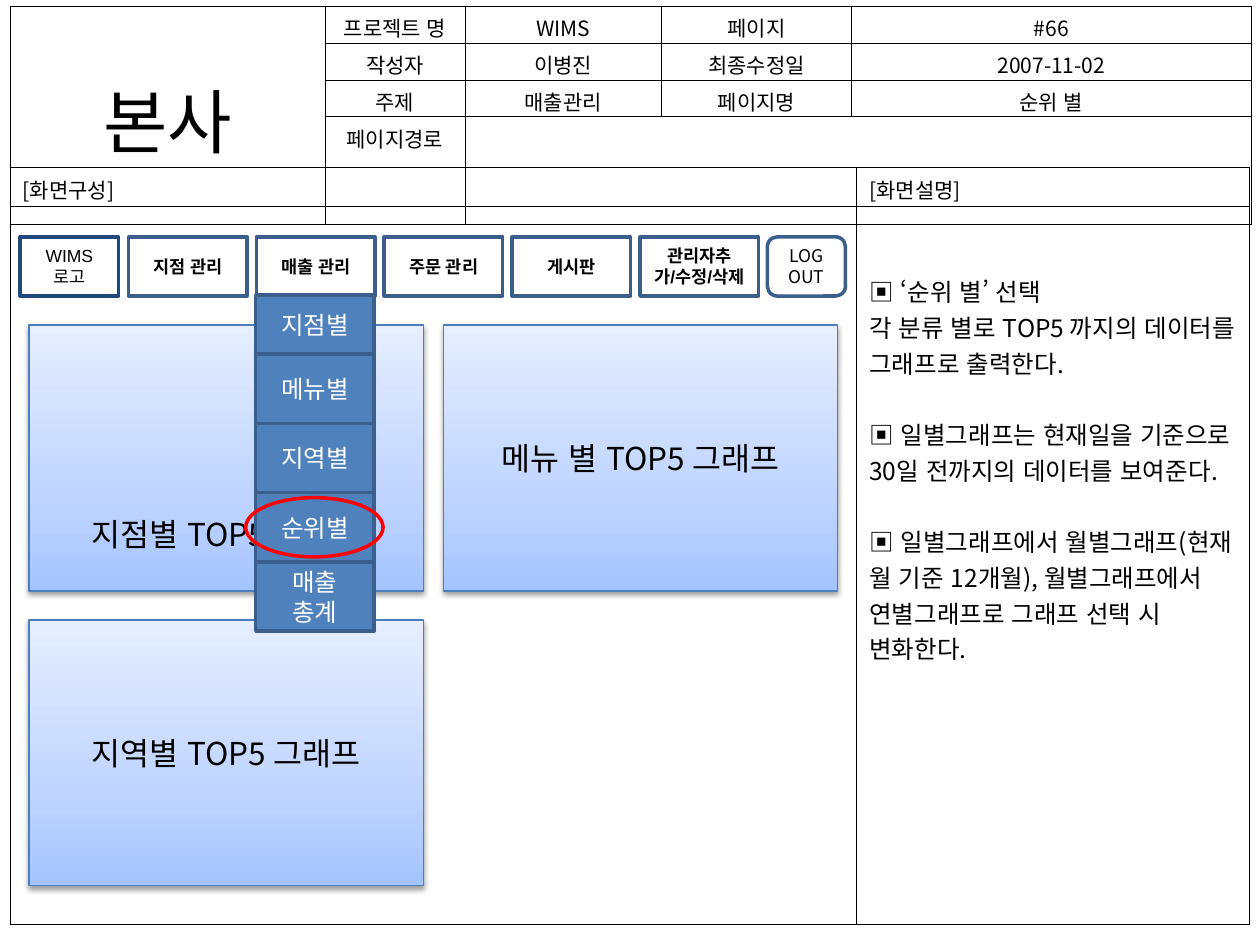
from copy import deepcopy

from lxml import etree
from pptx import Presentation
from pptx.dml.color import RGBColor
from pptx.enum.lang import MSO_LANGUAGE_ID
from pptx.enum.shapes import MSO_SHAPE
from pptx.enum.text import MSO_ANCHOR, PP_ALIGN
from pptx.oxml.ns import qn
from pptx.util import Inches, Pt

RECTANGLE, ROUNDED, OVAL = MSO_SHAPE.RECTANGLE, MSO_SHAPE.ROUNDED_RECTANGLE, MSO_SHAPE.OVAL
LEFT, CENTER = PP_ALIGN.LEFT, PP_ALIGN.CENTER
TOP, MIDDLE = MSO_ANCHOR.TOP, MSO_ANCHOR.MIDDLE
KOREAN = MSO_LANGUAGE_ID.KOREAN

BLACK = RGBColor(0x00, 0x00, 0x00)
WHITE = RGBColor(0xFF, 0xFF, 0xFF)
RED = RGBColor(0xFF, 0x00, 0x00)
NAVY = RGBColor(0x1F, 0x49, 0x7D)
BLUE = RGBColor(0x4F, 0x81, 0xBD)
BLUE_EDGE = RGBColor(0x3A, 0x5F, 0x8C)
CARD_EDGE = RGBColor(0x4B, 0x7E, 0xBC)
CARD_STOPS = [
    (0, RGBColor(0xA4, 0xC4, 0xFF)),
    (0.35, RGBColor(0xBF, 0xD4, 0xFF)),
    (1, RGBColor(0xE6, 0xEE, 0xFF)),
]
KOREAN_FONT = "Noto Sans CJK KR"


def write(frame, text, size=12, color=BLACK, font=KOREAN_FONT, bold=False, align=CENTER, gaps=()):
    """Fill a text frame, one paragraph per line; gaps maps line numbers to space before."""
    frame.word_wrap = True
    gaps = dict(gaps)
    for number, line in enumerate(text.split("\n")):
        paragraph = frame.paragraphs[0] if number == 0 else frame.add_paragraph()
        paragraph.alignment = align
        if number in gaps:
            paragraph.space_before = Pt(gaps[number])
        run = paragraph.add_run()
        run.text = line
        run.font.size = Pt(size)
        run.font.bold = bold
        run.font.color.rgb = color
        run.font.name = font
        run.font.language_id = KOREAN
        etree.SubElement(run.font._element, qn("a:ea"), typeface=KOREAN_FONT)


class Wireframe:
    """Holds the current slide and draws each kind of element on it."""

    def __init__(self, slide):
        self.slide = slide

    def box(self, place, text="", kind=RECTANGLE, fill=WHITE, edge=BLUE_EDGE, weight=2, **style):
        """Draw a bordered shape with centred text."""
        shape = self.slide.shapes.add_shape(kind, *map(Inches, place))
        shape.shadow.inherit = False
        if fill is None:
            shape.fill.background()
        else:
            shape.fill.solid()
            shape.fill.fore_color.rgb = fill
        shape.line.color.rgb = edge
        shape.line.width = Pt(weight)
        shape.text_frame.vertical_anchor = MIDDLE
        if text:
            write(shape.text_frame, text, **style)
        return shape

    def card(self, left, top, text, text_top=0.05):
        """Draw a shaded graph area with a soft shadow."""
        shape = self.box((left, top, 3.13, 2.11), text, edge=CARD_EDGE, weight=0.75, size=18)
        shape.text_frame.margin_top = Inches(text_top)
        shape.fill.gradient()
        shape.fill.gradient_angle = 90
        properties = shape._element.spPr
        stops = properties.find(".//" + qn("a:gsLst"))
        stops.append(deepcopy(stops[0]))
        for stop, (position, color) in zip(shape.fill.gradient_stops, CARD_STOPS):
            stop.position = position
            stop.color.rgb = color
        shadow = etree.SubElement(
            properties.find(qn("a:effectLst")), qn("a:outerShdw"),
            blurRad=str(Pt(3.1)), dist=str(Pt(1.6)), dir="5400000", rotWithShape="0")
        shade = etree.SubElement(shadow, qn("a:srgbClr"), val=str(BLACK))
        etree.SubElement(shade, qn("a:alpha"), val="38000")

    def table(self, left, top, widths, heights):
        """Add an unfilled grid with thin black borders."""
        size = left, top, sum(widths), sum(heights)
        grid = self.slide.shapes.add_table(len(heights), len(widths), *map(Inches, size)).table
        grid.first_row = grid.horz_banding = False
        for column, width in zip(grid.columns, widths):
            column.width = Inches(width)
        for row, height in zip(grid.rows, heights):
            row.height = Inches(height)
        for cell in grid.iter_cells():
            cell.margin_top, cell.margin_bottom = Inches(0.05), 0
            for side in ("a:lnL", "a:lnR", "a:lnT", "a:lnB"):
                border = etree.SubElement(cell._tc.tcPr, qn(side), w=str(Pt(0.5)))
                paint = etree.SubElement(border, qn("a:solidFill"))
                etree.SubElement(paint, qn("a:srgbClr"), val=str(BLACK))
            cell.fill.background()
        return grid

    def cell(self, grid, row, column, text, anchor=TOP, **style):
        """Write one table cell."""
        target = grid.cell(row, column)
        target.vertical_anchor = anchor
        write(target.text_frame, text, **style)


def main():
    """Build the ranking page of the sales screen design."""
    deck = Presentation()
    deck.slide_width, deck.slide_height = Inches(10), Inches(7.5)
    page = Wireframe(deck.slides.add_slide(deck.slide_layouts[6]))

    header = page.table(0.08, 0.05, [2.5, 1.11, 1.56, 1.51, 3.17], [0.29, 0.29, 0.29, 0.26])
    header.cell(0, 0).merge(header.cell(3, 0))
    header.cell(3, 2).merge(header.cell(3, 4))
    header.cell(3, 2).margin_top = Inches(0.46)
    page.cell(header, 0, 0, "본사", anchor=MIDDLE, size=40)
    details = [
        ("프로젝트 명", "WIMS", "페이지", "#66"),
        ("작성자", "이병진", "최종수정일", "2007-11-02"),
        ("주제", "매출관리", "페이지명", "순위 별"),
        ("페이지경로",),
    ]
    for row, values in enumerate(details):
        for column, value in enumerate(values, 1):
            page.cell(header, row, column, value)

    body = page.table(0.08, 1.33, [6.72, 3.12], [0.31, 5.7])
    page.cell(body, 0, 0, "[화면구성]", align=LEFT)
    page.cell(body, 0, 1, "[화면설명]", align=LEFT)
    description = "\n".join([
        "▣ ‘순위 별’ 선택",
        "각 분류 별로 TOP5 까지의 데이터를 그래프로 출력한다.",
        "▣ 일별그래프는 현재일을 기준으로 30일 전까지의 데이터를 보여준다.",
        "▣ 일별그래프에서 월별그래프(현재 월 기준 12개월), "
        "월별그래프에서 연별그래프로 그래프 선택 시 변화한다.",
    ])
    body.cell(1, 1).margin_top = Inches(0.53)
    page.cell(body, 1, 1, description, size=14, align=LEFT, gaps={2: 20.3, 3: 20.3})

    page.card(3.52, 2.58, "메뉴 별 TOP5 그래프")
    page.card(0.23, 4.92, "지역별 TOP5 그래프")
    page.card(0.23, 2.58, "지점별 TOP5 그래프", text_top=1.25)

    submenu = {"fill": BLUE, "color": WHITE, "size": 14}
    for index, entry in enumerate(["메뉴별", "지역별", "순위별", "매출\n총계"]):
        page.box((2.03, 2.81 + 0.55 * index, 0.94, 0.55), entry, **submenu)

    menus = ["지점 관리", "매출 관리", "주문 관리", "게시판", "관리자추가/수정/삭제"]
    for index, menu in enumerate(menus):
        font = "Arial" if "/" in menu else KOREAN_FONT
        page.box((1.02 + 1.015 * index, 1.88, 0.94, 0.47), menu, size=10, bold=True, font=font)
    page.box((6.09, 1.88, 0.62, 0.47), "LOG OUT", kind=ROUNDED, size=10)
    page.box((0.16, 1.88, 0.78, 0.47), "WIMS\n로고", edge=NAVY, size=10, font="Arial")
    page.box((2.03, 2.34, 0.94, 0.47), "지점별", **submenu)
    page.box((1.95, 3.95, 1.09, 0.47), kind=OVAL, fill=None, edge=RED)

    deck.save("out.pptx")


if __name__ == "__main__":
    main()
